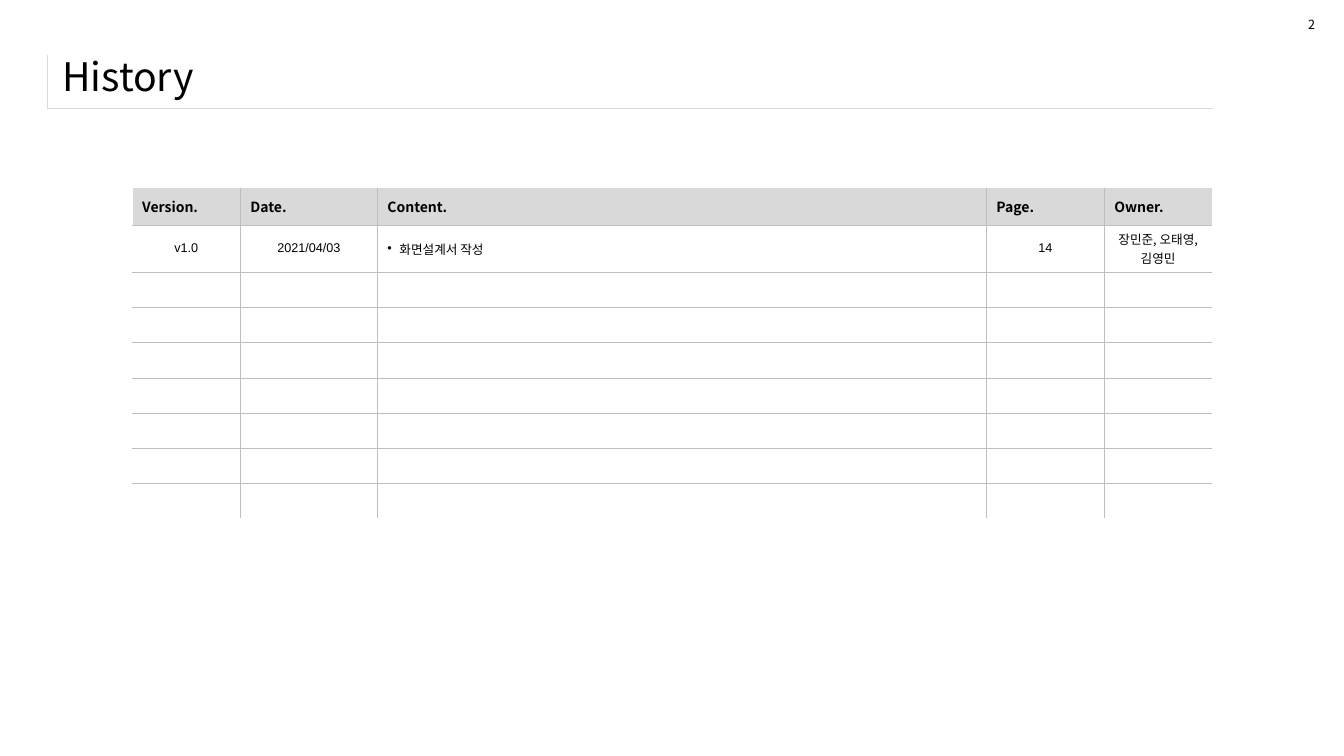
from dataclasses import dataclass

from lxml import etree
from pptx import Presentation
from pptx.dml.color import RGBColor
from pptx.enum.text import MSO_ANCHOR, MSO_AUTO_SIZE, PP_ALIGN
from pptx.oxml.ns import qn
from pptx.util import Pt

LEFT, CENTER = PP_ALIGN.LEFT, PP_ALIGN.CENTER
MIDDLE = MSO_ANCHOR.MIDDLE
NO_FIT, GROW = MSO_AUTO_SIZE.NONE, MSO_AUTO_SIZE.SHAPE_TO_FIT_TEXT
TITLE_ONLY = 5


@dataclass(frozen=True)
class Theme:
    text: str = "000000"
    paper: str = "FFFFFF"
    band: str = "D9D9D9"
    grid: str = "BFBFBF"
    font: str = "Noto Sans CJK KR"
    number_font: str = "Arial"
    title_size: float = 28
    header_size: float = 10
    body_size: float = 9


THEME = Theme()
GRID_LINE = (THEME.grid, 0.25)
FRAME_LINE = (THEME.band, 0.25)
PAPER_LINE = (THEME.paper, 1)

COLUMNS = [77.3, 97.9, 435, 84.3, 76.9]
HEADER_HEIGHT, ROW_HEIGHT, EMPTY_ROWS = 26.9, 25.2, 7
HEADERS = ["Version.", "Date.", "Content.", "Page.", "Owner."]
ENTRY = ["v1.0", "2021/04/03", "화면설계서 작성", "14", "장민준, 오태영, 김영민"]
CONTENT = HEADERS.index("Content.")
OWNER = HEADERS.index("Owner.")


def write(frame, text, size=THEME.body_size, font=THEME.font, bold=False,
          align=LEFT, bullet=None, indent=8.6):
    """Put one formatted paragraph into a text frame."""
    para = frame.paragraphs[0]
    para.alignment = align
    if bullet:
        properties = para._p.get_or_add_pPr()
        properties.set("marL", str(Pt(indent)))
        properties.set("indent", str(-Pt(indent)))
        etree.SubElement(properties, qn("a:buFont"), typeface=THEME.number_font)
        etree.SubElement(properties, qn("a:buChar"), char=bullet)
    if not text:
        # An empty cell keeps its row low through its end mark
        etree.SubElement(para._p, qn("a:endParaRPr"), sz=str(int(size * 100)))
        return
    span = para.add_run()
    span.text = text
    span.font.size = Pt(size)
    span.font.bold = bold
    span.font.color.rgb = RGBColor.from_string(THEME.text)
    span.font.name = font
    etree.SubElement(span._r.get_or_add_rPr(), qn("a:ea"), typeface=font)


class Page:
    def __init__(self, deck):
        self.slide = deck.slides.add_slide(deck.slide_layouts[TITLE_ONLY])

    def title(self, text, left, top, width, height):
        box = self.slide.shapes.title
        box.left, box.top, box.width, box.height = map(Pt, (left, top, width, height))
        box.text_frame.auto_size = NO_FIT
        box.text_frame.vertical_anchor = MIDDLE
        write(box.text_frame, text, size=THEME.title_size)

    def label(self, text, left, top, width, height):
        box = self.slide.shapes.add_textbox(*map(Pt, (left, top, width, height)))
        box.text_frame.word_wrap = False
        box.text_frame.auto_size = GROW
        write(box.text_frame, text)

    def table(self, left, top, widths, heights):
        shape = self.slide.shapes.add_table(
            len(heights), len(widths), Pt(left), Pt(top),
            Pt(sum(widths)), Pt(sum(heights)))
        table = shape.table
        table.first_row = table.horz_banding = False
        for column, width in zip(table.columns, widths):
            column.width = Pt(width)
        for row, height in zip(table.rows, heights):
            row.height = Pt(height)
        return table

    def cell(self, cell, text="", fill=None, borders=None, **style):
        cell.vertical_anchor = MIDDLE
        if fill:
            cell.fill.solid()
            cell.fill.fore_color.rgb = RGBColor.from_string(fill)
        else:
            cell.fill.background()
        write(cell.text_frame, text, **style)
        self.borders(cell, borders or {})

    def borders(self, cell, lines):
        """Draw the sides named L, R, T and B; clear the others."""
        properties = cell._tc.get_or_add_tcPr()
        for position, side in enumerate("LRTB"):
            line = etree.Element(qn("a:ln" + side))
            properties.insert(position, line)
            if side in lines:
                color, width = lines[side]
                line.set("w", str(Pt(width)))
                solid = etree.SubElement(line, qn("a:solidFill"))
                etree.SubElement(solid, qn("a:srgbClr"), val=color)
            else:
                etree.SubElement(line, qn("a:noFill"))


def grid_borders(row, column, last_row):
    lines = {"L": GRID_LINE if column else PAPER_LINE,
             "B": PAPER_LINE if row == last_row else GRID_LINE}
    if row:
        lines["T"] = GRID_LINE
    if column < OWNER:
        lines["R"] = GRID_LINE
    return lines


def entry_style(column):
    if column == CONTENT:
        return {"bullet": "•"}
    if column == OWNER:
        return {"align": CENTER}
    return {"align": CENTER, "font": THEME.number_font}


def main():
    deck = Presentation()
    deck.slide_width, deck.slide_height = Pt(960), Pt(540)
    page = Page(deck)

    # Title with its ruled frame
    frame = page.table(33.9, 39, [832.3], [38.2])
    page.cell(frame.cell(0, 0), borders={"L": FRAME_LINE, "B": FRAME_LINE})
    page.title("History", 37.4, 31.7, 899.3, 45.4)

    # Revision table
    heights = [HEADER_HEIGHT] + [ROW_HEIGHT] * (1 + EMPTY_ROWS)
    history = page.table(94.4, 134, COLUMNS, heights)
    for row in range(len(heights)):
        for column in range(len(COLUMNS)):
            cell = history.cell(row, column)
            lines = grid_borders(row, column, len(heights) - 1)
            if row == 0:
                page.cell(cell, HEADERS[column], THEME.band, lines,
                          size=THEME.header_size, bold=True)
            elif row == 1:
                page.cell(cell, ENTRY[column], None, lines, **entry_style(column))
            else:
                page.cell(cell, borders=lines)

    # Page number
    page.label("2", 927.4, 8.6, 19.4, 18)

    deck.save("out.pptx")


if __name__ == "__main__":
    main()
